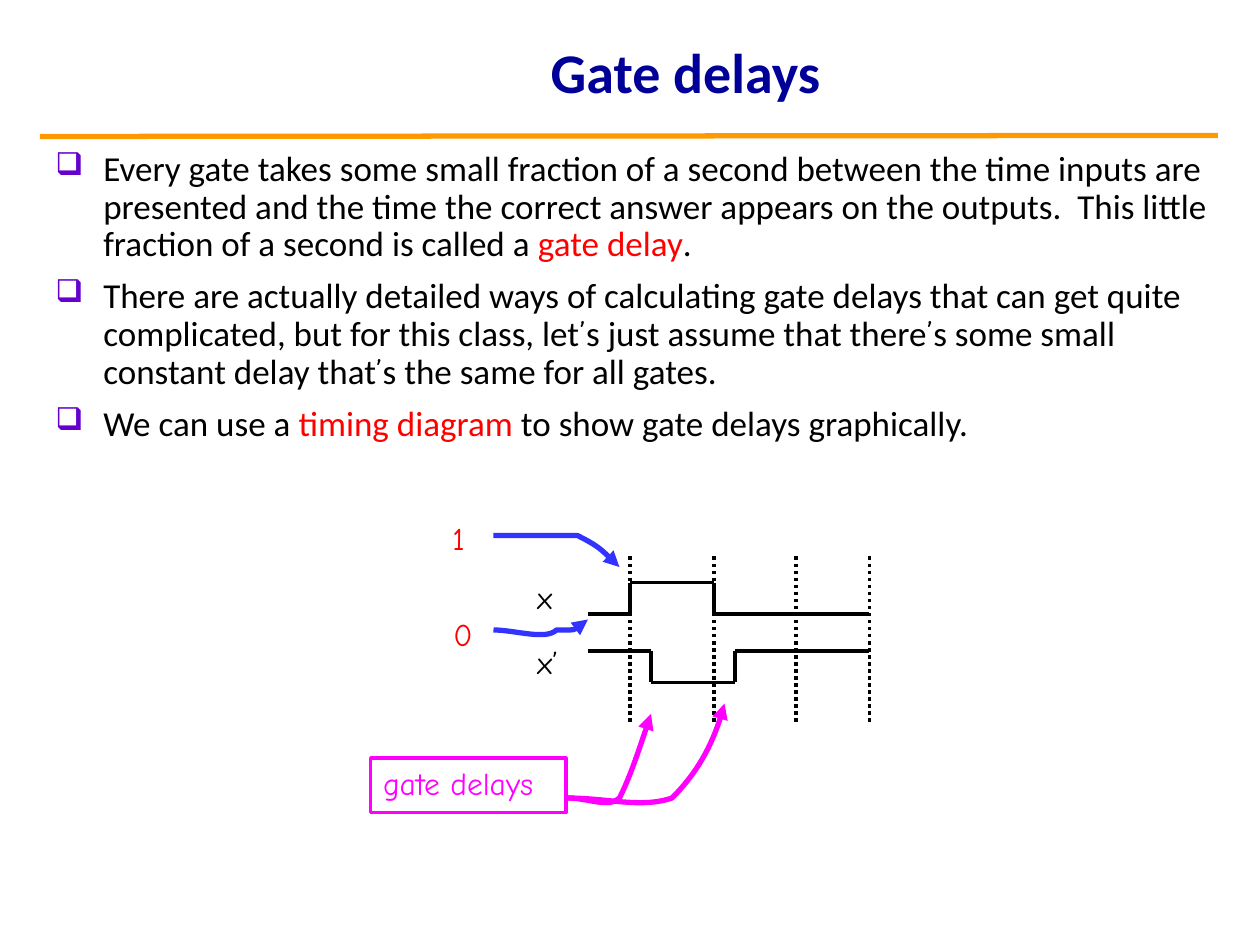
from dataclasses import dataclass
from itertools import pairwise

from lxml.etree import SubElement
from pptx import Presentation
from pptx.dml.color import RGBColor
from pptx.enum.dml import MSO_LINE
from pptx.enum.shapes import MSO_CONNECTOR, MSO_SHAPE
from pptx.enum.text import MSO_ANCHOR, MSO_AUTO_SIZE, PP_ALIGN
from pptx.oxml.ns import qn
from pptx.util import Inches, Pt


@dataclass(frozen=True)
class Theme:
    body_font: str = "Calibri"
    hand_font: str = "Comic Neue"
    title_size: int = 32
    body_size: int = 20
    label_size: int = 18
    ink: str = "000000"
    title: str = "000099"
    rule: str = "FF9900"
    bullet: str = "6600CC"
    accent: str = "FF0000"
    level_arrow: str = "3333FF"
    delay: str = "FF00FF"


theme = Theme()
color = RGBColor.from_string

deck = Presentation()
deck.slide_width, deck.slide_height = Inches(10), Inches(7.5)
page = deck.slides.add_slide(deck.slide_layouts[6])
shapes = page.shapes

# The page is a grid of 120 columns by 90 rows of square cells.
cell = deck.slide_width // 120


def grid(*steps):
    return [round(step * cell) for step in steps]


def draw_line(start, end, line_color=theme.ink, width=2):
    line = shapes.add_connector(MSO_CONNECTOR.STRAIGHT, *grid(*start, *end))
    line.line.color.rgb = color(line_color)
    line.line.width = Pt(width)
    SubElement(line._element.spPr, qn("a:effectLst"))
    return line


# Title and rule
draw_line((3.8, 13), (116, 12.9), theme.rule, 3)
title = shapes.add_textbox(*grid(14.6, 1.6, 101.4, 10.4)).text_frame
title.word_wrap = True
title.vertical_anchor = MSO_ANCHOR.MIDDLE
para = title.paragraphs[0]
para.text = "Gate delays"
para.alignment = PP_ALIGN.CENTER
para.font.name, para.font.size = theme.body_font, Pt(theme.title_size)
para.font.bold = True
para.font.color.rgb = color(theme.title)

# Bullets: each span is its text, font and colour
plain = (theme.body_font, theme.ink)
key_term = (theme.body_font, theme.accent)
apostrophe = ("’", theme.hand_font, theme.ink)
bullets = [
    [("Every gate takes some small fraction of a second between the time inputs are "
      "presented and the time the correct answer appears on the outputs.  This "
      "little fraction of a second is called a ", *plain),
     ("gate delay", *key_term), (".", *plain)],
    [("There are actually detailed ways of calculating gate delays that can get quite "
      "complicated, but for this class, let", *plain), apostrophe,
     ("s just assume that there", *plain), apostrophe,
     ("s some small constant delay that", *plain), apostrophe,
     ("s the same for all gates.", *plain)],
    [("We can use a ", *plain), ("timing diagram", *key_term),
     (" to show gate delays graphically.", *plain)],
]
body = shapes.add_textbox(*grid(4.1, 13.8, 112.1, 34.9)).text_frame
body.word_wrap = True
for index, spans in enumerate(bullets):
    para = body.paragraphs[0] if index == 0 else body.add_paragraph()
    para.line_spacing = 0.9
    if index:
        para.space_before = Pt(8)
    properties = para._p.get_or_add_pPr()
    properties.set("marL", str(Inches(0.38)))
    properties.set("indent", str(-Inches(0.38)))
    bullet_color = SubElement(properties, qn("a:buClr"))
    SubElement(bullet_color, qn("a:srgbClr"), val=theme.bullet)
    SubElement(properties, qn("a:buSzPct"), val="90000")
    SubElement(properties, qn("a:buChar"), char="❑")
    para.font.size = Pt(theme.body_size)
    for text, font_name, font_color in spans:
        span = para.add_run()
        span.text = text
        span.font.name = font_name
        span.font.color.rgb = color(font_color)

# Timing diagram: time marks and the two signals
for column in (60, 68, 75.8, 82.8):
    draw_line((column, 53), (column, 69)).line.dash_style = MSO_LINE.ROUND_DOT

start, finish = 56, 82.8
signals = [  # rise or fall columns, resting row, pulse row
    (60, 68, 58.5, 55.5),
    (62, 70, 62, 65),
]
for first, second, rest, pulse in signals:
    corners = [(start, rest), (first, rest), (first, pulse),
               (second, pulse), (second, rest), (finish, rest)]
    for corner, following in pairwise(corners):
        draw_line(corner, following)

# Labels
labels = [
    (["x", "x’"], (50, 54.5, 4.7, 10.9), theme.ink),
    (["1"], (41.9, 48.8, 3.7, 4.8), theme.accent),
    (["0"], (42, 58, 4.2, 4.8), theme.accent),
    (["gate delays"], (35.3, 72.2, 18.6, 5.2), theme.delay),
]
for lines, place, label_color in labels:
    box = shapes.add_shape(MSO_SHAPE.RECTANGLE, *grid(*place))
    box.shadow.inherit = False
    box.fill.background()
    if label_color == theme.delay:
        box.line.color.rgb = color(label_color)
        box.line.width = Pt(2)
    else:
        box.line.fill.background()
    frame = box.text_frame
    frame.word_wrap = False
    frame.auto_size = MSO_AUTO_SIZE.SHAPE_TO_FIT_TEXT
    frame.vertical_anchor = MSO_ANCHOR.TOP
    for index, text in enumerate(lines):
        para = frame.paragraphs[0] if index == 0 else frame.add_paragraph()
        para.text = text
        para.alignment = PP_ALIGN.LEFT
        if index:
            para.line_spacing = 1.7
        para.font.name, para.font.size = theme.hand_font, Pt(theme.label_size)
        para.font.color.rgb = color(label_color)

# Curved arrows: a start point, then two controls and an end point per curve
arrows = [
    (theme.level_arrow, [(46.8, 60.4), (49.2, 60.5), (51.5, 60.6), (53, 60.4),
                         (54.6, 60.2), (55.3, 59.7), (56.2, 59.2)]),
    (theme.delay, [(53.8, 75.7), (57.5, 76.4), (61.3, 77.2), (63.8, 75.7),
                   (66.4, 74.3), (67.6, 70.8), (68.9, 67.2)]),
    (theme.delay, [(53.8, 75.7), (55.7, 76.4), (57.6, 77.2), (58.9, 75.7),
                   (60.2, 74.4), (60.8, 70.9), (61.6, 67.6)]),
    (theme.level_arrow, [(47, 51.1), (50, 50.9), (52.9, 50.6), (54.8, 51.1),
                         (56.9, 51.6), (57.8, 52.9), (58.8, 54.2)]),
]
for arrow_color, points in arrows:
    builder = shapes.build_freeform(*points[0], scale=cell)
    builder.add_line_segments(points[1:], close=False)
    arrow = builder.convert_to_shape()
    arrow.shadow.inherit = False
    arrow.fill.background()
    arrow.line.color.rgb = color(arrow_color)
    arrow.line.width = Pt(3)
    SubElement(arrow.line._get_or_add_ln(), qn("a:tailEnd"), type="triangle")
    # Join each three straight segments into one Bézier curve.
    segments = list(arrow._element.iter(qn("a:lnTo")))
    outline = segments[0].getparent()
    for first in range(0, len(segments), 3):
        curve = SubElement(outline, qn("a:cubicBezTo"))
        for segment in segments[first:first + 3]:
            curve.append(segment[0])
            outline.remove(segment)

deck.save("out.pptx")
